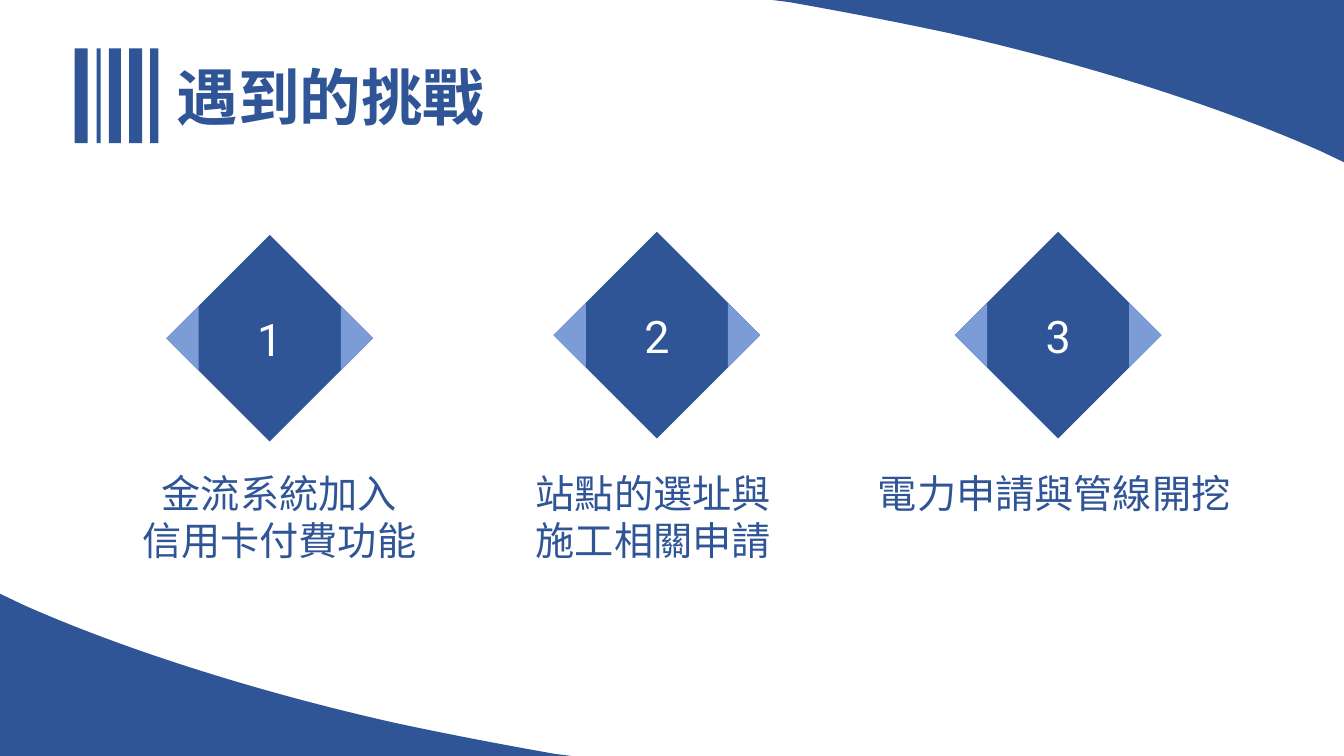
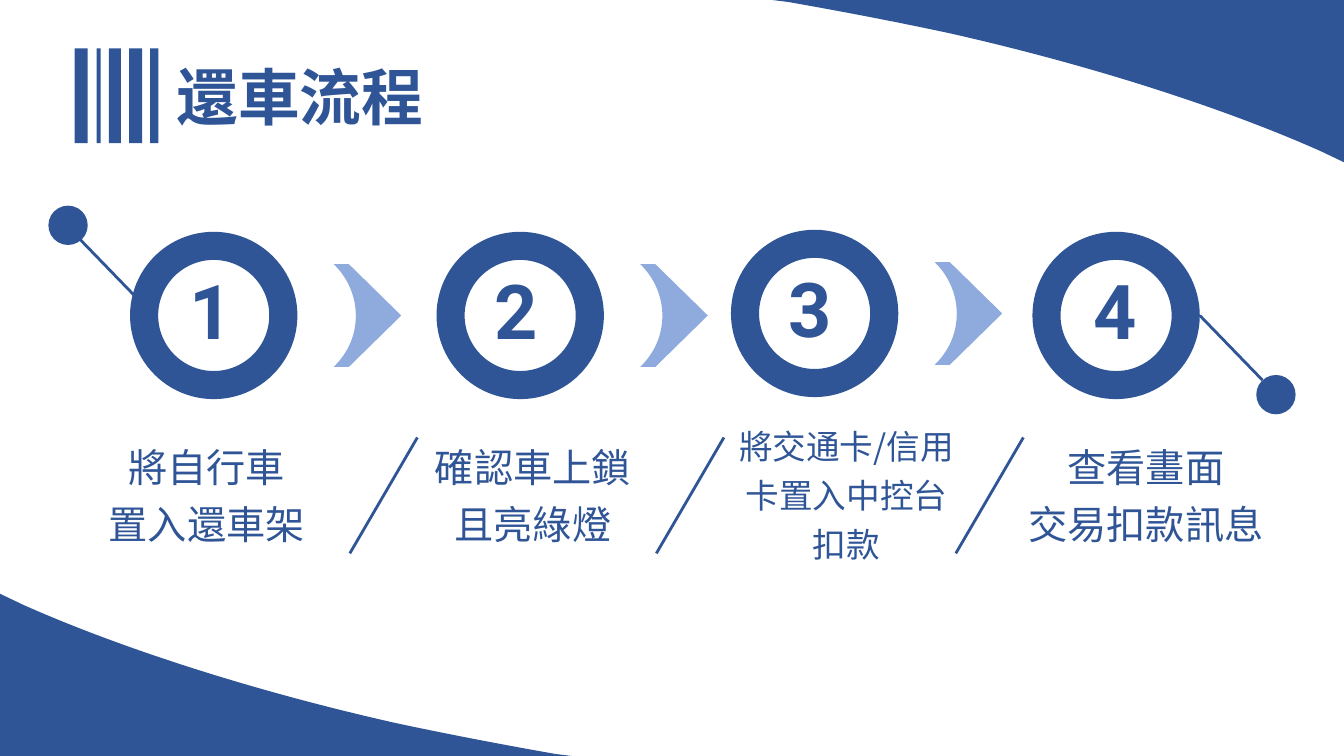
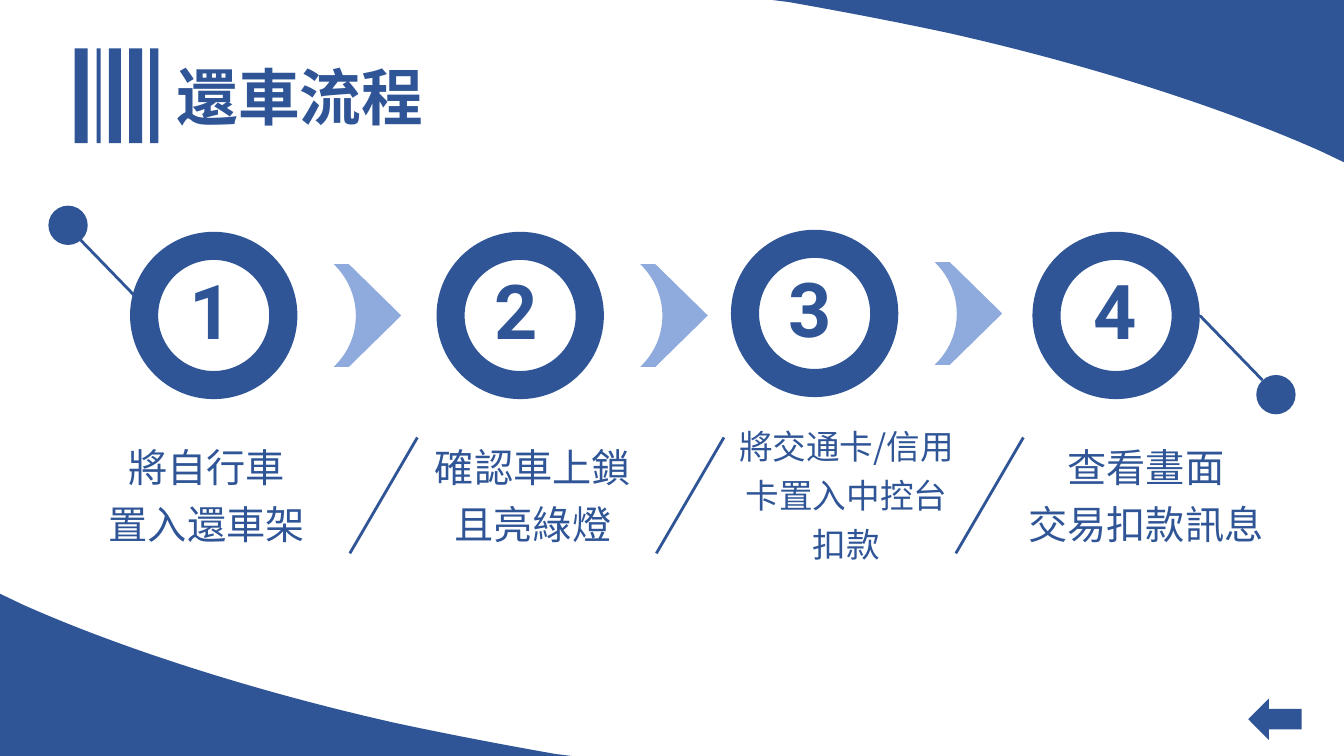
from lxml import etree
from pptx import Presentation
from pptx.dml.color import RGBColor
from pptx.enum.shapes import MSO_CONNECTOR, MSO_SHAPE
from pptx.enum.text import MSO_ANCHOR, MSO_AUTO_SIZE, PP_ALIGN
from pptx.oxml.ns import qn
from pptx.util import Inches, Pt

SLIDE_WIDTH, SLIDE_HEIGHT = 13.33, 7.5
NAVY = RGBColor(0x2F, 0x55, 0x97)
DIAMOND_TIP = RGBColor(0x7B, 0x9C, 0xD7)
LIGHT_BLUE = RGBColor(0x8F, 0xAA, 0xDC)
WHITE = RGBColor(0xFF, 0xFF, 0xFF)
LATIN_FONT, CJK_FONT = "Roboto", "Noto Sans CJK SC"
LEFT, CENTER = PP_ALIGN.LEFT, PP_ALIGN.CENTER
MIDDLE = MSO_ANCHOR.MIDDLE
NO_AUTOFIT = MSO_AUTO_SIZE.NONE
STRAIGHT = MSO_CONNECTOR.STRAIGHT
RECTANGLE, OVAL, DIAMOND = MSO_SHAPE.RECTANGLE, MSO_SHAPE.OVAL, MSO_SHAPE.DIAMOND
DONUT, LEFT_ARROW = MSO_SHAPE.DONUT, MSO_SHAPE.LEFT_ARROW
PLAIN_TABLE_STYLE = "{2D5ABB26-0587-4C30-8999-92F81FD0307C}"

# Each part is a list of points: one for a straight step, three for a Bezier curve.
WAVE = [
    [(0, 5.89)], [(0.23, 6)],
    [(1.15, 6.41), (2.45, 6.84), (3.91, 7.17)],
    [(4.47, 7.29), (5, 7.39), (5.51, 7.48)],
    [(5.67, 7.5)], [(0, 7.5)],
]
CHEVRON = [
    [(0, -0.51)], [(0.15, -0.51)], [(0.67, 0)], [(0.15, 0.51)], [(0, 0.51)],
    [(0.01, 0.5)],
    [(0.14, 0.37), (0.22, 0.2), (0.22, 0)],
    [(0.22, -0.19), (0.14, -0.37), (0.01, -0.5)],
]
TITLE_BARS = [(0.74, 0.13), (0.96, 0.04), (1.08, 0.12), (1.28, 0.13), (1.49, 0.08)]

CHALLENGES_TITLE = "遇到的挑戰"
CHALLENGES = [
    {"diamond": (1.65, 2.33), "caption": (1.28, 2.98), "align": CENTER,
     "lines": ["金流系統加入", "信用卡付費功能"]},
    {"diamond": (5.49, 2.3), "caption": (4.7, 3.56), "align": CENTER,
     "lines": ["站點的選址與", "施工相關申請"]},
    {"diamond": (9.47, 2.3), "caption": (8.61, 3.77), "align": LEFT,
     "lines": ["電力申請與管線開挖"]},
]

RETURN_TITLE = "還車流程"
RETURN_STEPS = [
    {"ring": (1.29, 2.3), "number": 1.6, "caption": (0.63, 2.84), "slash": 4.14,
     "size": 28, "font": LATIN_FONT, "lines": ["將自行車", "置入還車架"]},
    {"ring": (4.33, 2.3), "number": 4.63, "caption": (3.99, 2.59), "slash": 7.18,
     "size": 28, "font": LATIN_FONT, "lines": ["確認車上鎖", "且亮綠燈"]},
    {"ring": (7.25, 2.28), "number": 7.55, "caption": (7.1, 2.59), "slash": 10.15,
     "size": 24, "font": CJK_FONT, "lines": ["將交通卡/信用卡置入中控台", "扣款"]},
    {"ring": (10.24, 2.3), "number": 10.57, "caption": (10.07, 2.59), "slash": None,
     "size": 28, "font": LATIN_FONT, "lines": ["查看畫面", "交易扣款訊息"]},
]
END_DOTS = [
    {"line": ((1.37, 2.97), (0.75, 2.33)), "dot": (0.48, 2.04)},
    {"line": ((11.9, 3.13), (12.52, 3.77)), "dot": (12.46, 3.72)},
]


def paint(shape, color):
    shape.shadow.inherit = False
    shape.fill.solid()
    shape.fill.fore_color.rgb = color
    shape.line.fill.background()


def add_filled(slide, kind, left, top, width, height, color=NAVY):
    shape = slide.shapes.add_shape(
        kind, Inches(left), Inches(top), Inches(width), Inches(height))
    paint(shape, color)
    return shape


def add_outline(slide, outline, color, origin=(0, 0), direction=1):
    """Draw an outline from an origin; direction -1 turns it by half a turn."""
    start, *parts = [
        [tuple(Inches(base + direction * value) for base, value in zip(origin, point))
         for point in part]
        for part in outline]
    builder = slide.shapes.build_freeform(*start[0])
    builder.add_line_segments([part[-1] for part in parts], close=True)
    shape = builder.convert_to_shape()
    segments = list(shape._element.iter(qn("a:lnTo")))
    for segment, part in zip(segments, parts):
        if len(part) == 3:
            segment.tag = qn("a:cubicBezTo")
            for index, (x, y) in enumerate(part[:2]):
                control = etree.Element(qn("a:pt"))
                control.set("x", str(x - shape.left))
                control.set("y", str(y - shape.top))
                segment.insert(index, control)
    paint(shape, color)


def add_line(slide, start, end):
    line = slide.shapes.add_connector(
        STRAIGHT, *[Inches(value) for value in (*start, *end)])
    line.line.color.rgb = NAVY
    line.line.width = Pt(2)
    etree.SubElement(line._element.spPr, qn("a:effectLst"))


def write(text_frame, lines, size, color=NAVY, font=LATIN_FONT, bold=False,
          align=CENTER):
    for index, line in enumerate(lines):
        paragraph = text_frame.paragraphs[0] if index == 0 else text_frame.add_paragraph()
        paragraph.alignment = align
        run = paragraph.add_run()
        run.text = line
        run.font.size = Pt(size)
        run.font.bold = bold
        run.font.color.rgb = color
        run.font.name = font
        east_asian = etree.SubElement(run._r.rPr, qn("a:ea"))
        east_asian.set("typeface", CJK_FONT)


def add_cell_table(slide, left, top, width, height, lines, size, **style):
    """Add a plain one-cell table with centred text."""
    table = slide.shapes.add_table(
        1, 1, Inches(left), Inches(top), Inches(width), Inches(height)).table
    table.first_row = table.horz_banding = False
    table._tbl.tblPr.find(qn("a:tableStyleId")).text = PLAIN_TABLE_STYLE
    cell = table.cell(0, 0)
    cell.fill.background()
    cell.vertical_anchor = MIDDLE
    write(cell.text_frame, lines, size, **style)


def new_slide(presentation, title):
    """Add a slide with the shared waves, title bars and title."""
    slide = presentation.slides.add_slide(presentation.slide_layouts[5])
    add_outline(slide, WAVE, NAVY)
    add_outline(slide, WAVE, NAVY, (SLIDE_WIDTH, SLIDE_HEIGHT), -1)
    for left, width in TITLE_BARS:
        add_filled(slide, RECTANGLE, left, 0.48, width, 0.94)
    placeholder = slide.shapes.title
    placeholder.left, placeholder.top = Inches(1.65), Inches(0.53)
    placeholder.width, placeholder.height = Inches(8.5), Inches(0.84)
    text_frame = placeholder.text_frame
    text_frame.auto_size = NO_AUTOFIT
    text_frame.vertical_anchor = MIDDLE
    write(text_frame, [title], 44, font=CJK_FONT, bold=True, align=LEFT)
    return slide


def build_challenges(presentation):
    side, tip = 2.05, 0.32
    slide = new_slide(presentation, CHALLENGES_TITLE)
    for number, challenge in enumerate(CHALLENGES, 1):
        left, top = challenge["diamond"]
        middle = top + side / 2
        diamond = add_filled(slide, DIAMOND, left, top, side, side)
        diamond.text_frame.vertical_anchor = MIDDLE
        write(diamond.text_frame, [str(number)], 32, WHITE)
        for point, inward in ((left + side, -tip), (left, tip)):
            triangle = [[(inward, -tip)], [(0, 0)], [(inward, tip)]]
            add_outline(slide, triangle, DIAMOND_TIP, (point, middle))
        caption_left, caption_width = challenge["caption"]
        lines = challenge["lines"]
        caption = slide.shapes.add_textbox(
            Inches(caption_left), Inches(4.61), Inches(caption_width),
            Inches(0.1 + 0.47 * len(lines)))
        caption.text_frame.word_wrap = True
        write(caption.text_frame, lines, 28, align=challenge["align"])


def build_return_steps(presentation, back_arrow):
    ring_size = 1.66
    slide = new_slide(presentation, RETURN_TITLE)
    for number, step in enumerate(RETURN_STEPS, 1):
        left, top = step["ring"]
        ring = add_filled(slide, DONUT, left, top, ring_size, ring_size)
        ring.adjustments[0] = 0.168
        add_cell_table(slide, step["number"], top + 0.32, 0.98, 0.98,
                       [str(number)], 54, bold=True)
        caption_left, caption_width = step["caption"]
        add_cell_table(slide, caption_left, 4.06, caption_width, 1.68,
                       step["lines"], step["size"], font=step["font"])
        if step["slash"]:
            add_outline(slide, CHEVRON, LIGHT_BLUE, (left + 2.02, top + ring_size / 2))
            add_line(slide, (step["slash"], 4.34), (step["slash"] - 0.67, 5.49))
    for end in END_DOTS:
        add_line(slide, *end["line"])
        add_filled(slide, OVAL, *end["dot"], 0.39, 0.39)
    if back_arrow:
        add_filled(slide, LEFT_ARROW, 12.38, 6.93, 0.53, 0.41)


def main():
    presentation = Presentation()
    presentation.slide_width = Inches(SLIDE_WIDTH)
    presentation.slide_height = Inches(SLIDE_HEIGHT)
    build_challenges(presentation)
    for back_arrow in (False, True):
        build_return_steps(presentation, back_arrow)
    presentation.save("out.pptx")


if __name__ == "__main__":
    main()
